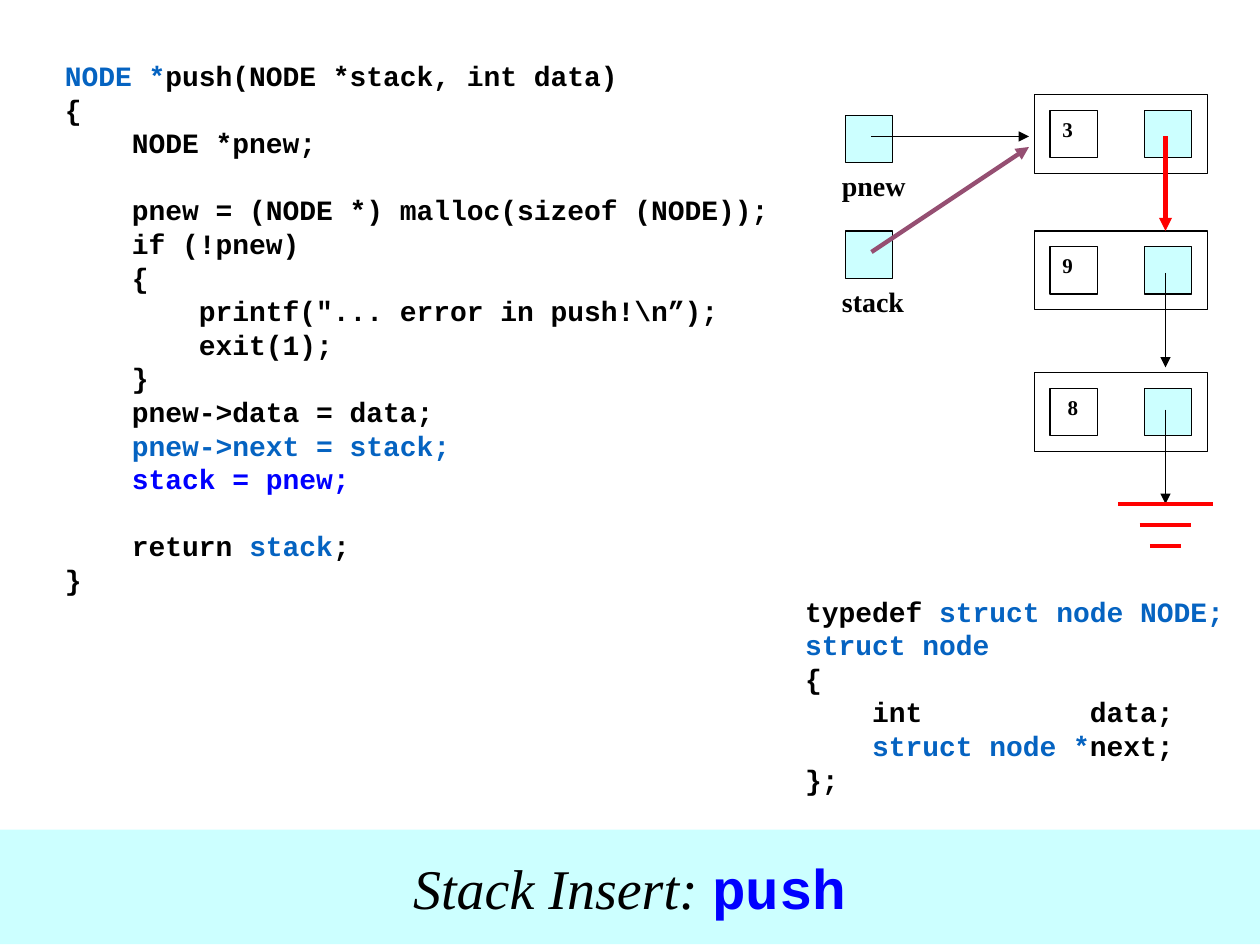
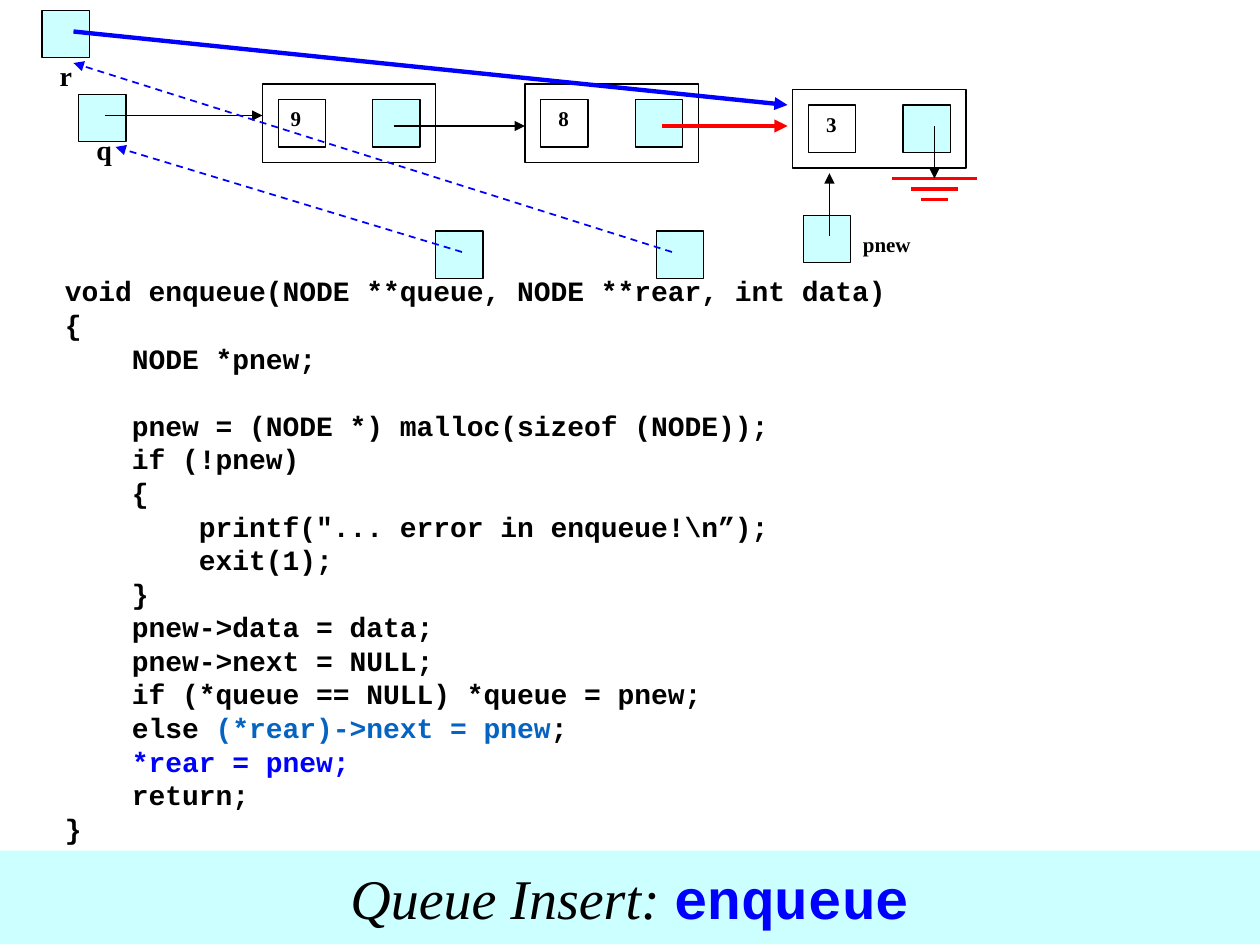
from lxml.etree import SubElement
from pptx import Presentation
from pptx.dml.color import RGBColor
from pptx.enum.dml import MSO_LINE
from pptx.enum.shapes import MSO_CONNECTOR, MSO_SHAPE
from pptx.enum.text import MSO_ANCHOR, MSO_AUTO_SIZE, PP_ALIGN
from pptx.oxml.ns import qn
from pptx.util import Pt

BLACK = RGBColor(0, 0, 0)
WHITE = RGBColor(255, 255, 255)
CYAN = RGBColor(0xCC, 0xFF, 0xFF)
LINK = RGBColor(0x05, 0x63, 0xC1)
BLUE = RGBColor(0, 0, 255)
RED = RGBColor(255, 0, 0)
PLUM = RGBColor(0x95, 0x4F, 0x72)
INKS = {"k": BLACK, "l": LINK, "b": BLUE}
SERIF, MONO = "Times New Roman", "Courier New"
WIDE, HIGH = 720, 540
CELL = 27

# ^l, ^b and ^k switch the ink to link blue, pure blue and black.
PUSH = r"""^lNODE *^kpush(NODE *stack, int data)
{
    NODE *pnew;

    pnew = (NODE *) malloc(sizeof (NODE));
    if (!pnew)
    {
        printf("... error in push!\n”);
        exit(1);
    }
    pnew->data = data;
    ^lpnew->next = stack;
    ^bstack = pnew;

    return ^lstack^k;
}"""

TYPE = """typedef ^lstruct node NODE;
^lstruct node
{
    int          data;
    ^lstruct node *^knext;
};"""

QUEUE = r"""void enqueue(NODE **queue, NODE **rear, int data)
{
    NODE *pnew;

    pnew = (NODE *) malloc(sizeof (NODE));
    if (!pnew)
    {
        printf("... error in enqueue!\n”);
        exit(1);
    }
    pnew->data = data;
    pnew->next = NULL;
    if (*queue == NULL) *queue = pnew;
    else ^l(*rear)->next = pnew^k;
    ^b*rear = pnew;
    return;
}"""


def style(run, size, face=SERIF, ink=BLACK, bold=True, slant=False):
    font = run.font
    font.size, font.name = Pt(size), face
    font.bold, font.italic = bold, slant
    font.color.rgb = ink


def band(slide, top, high, lead, name):
    """Turn the title placeholder into the coloured band at the foot."""
    title = slide.shapes.title
    title.left, title.top = Pt(0), Pt(top)
    title.width, title.height = Pt(WIDE), Pt(high)
    title.fill.solid()
    title.fill.fore_color.rgb = CYAN
    frame = title.text_frame
    frame.auto_size = MSO_AUTO_SIZE.NONE
    frame.word_wrap = False
    frame.vertical_anchor = MSO_ANCHOR.MIDDLE
    line = frame.paragraphs[0]
    line.alignment = PP_ALIGN.CENTER
    for text in (lead, name):
        line.add_run().text = text
    style(line.runs[0], 32, bold=False, slant=True)
    style(line.runs[1], 32, MONO, BLUE)


def code(slide, x, y, w, h, text, wrap=True):
    frame = slide.shapes.add_textbox(Pt(x), Pt(y), Pt(w), Pt(h)).text_frame
    frame.word_wrap = wrap
    for i, row in enumerate(text.split("\n")):
        line = frame.add_paragraph() if i else frame.paragraphs[0]
        line.line_spacing = Pt(19.2)
        line.font.size = Pt(16)
        for part in ("k" + row).split("^"):
            if part[1:]:
                run = line.add_run()
                run.text = part[1:]
                style(run, 16, MONO, INKS[part[0]])


def box(slide, x, y, w=CELL, h=CELL, fill=CYAN, edge=True, text="", size=12):
    shape = slide.shapes.add_shape(MSO_SHAPE.RECTANGLE, Pt(x), Pt(y), Pt(w), Pt(h))
    shape.shadow.inherit = False
    shape.fill.solid()
    shape.fill.fore_color.rgb = fill
    if edge:
        shape.line.color.rgb = BLACK
        shape.line.width = Pt(0.75)
    else:
        shape.line.fill.background()
    if text:
        frame = shape.text_frame
        frame.vertical_anchor = MSO_ANCHOR.TOP
        frame.text = text
        line = frame.paragraphs[0]
        line.alignment = PP_ALIGN.LEFT
        style(line.runs[0], size)


def label(slide, x, y, w, text, size=16):
    box(slide, x, y, w, fill=WHITE, edge=False, text=text, size=size)


def node(slide, x, y, text):
    """List element: a frame with a data cell and a next cell."""
    box(slide, x, y, 99, 45, WHITE)
    box(slide, x + 63, y + 9)
    box(slide, x + 9, y + 9, fill=WHITE, text=text)


def stroke(slide, x1, y1, x2, y2, ink=BLACK, thick=0.75, dash=False, arrow=True):
    line = slide.shapes.add_connector(
        MSO_CONNECTOR.STRAIGHT, Pt(x1), Pt(y1), Pt(x2), Pt(y2))
    line.line.color.rgb = ink
    line.line.width = Pt(thick)
    if dash:
        line.line.dash_style = MSO_LINE.DASH
    props = line._element.spPr
    if arrow:
        SubElement(props.find(qn("a:ln")), qn("a:tailEnd"), type="triangle")
    SubElement(props, qn("a:effectLst"))


def ground(slide, x, y, half, step):
    """Three shrinking bars that stand for the null pointer."""
    for i, part in enumerate((1, 0.55, 0.33)):
        reach, level = half * part, y + i * step
        stroke(slide, x - reach, level, x + reach, level, RED, 2, arrow=False)


def stack(slide, x, y):
    """Stack after a push; x, y is the corner of the top node."""
    for name, drop in (("pnew", 0), ("stack", 66)):
        label(slide, x - 117, y + 39 + drop, 54, name)
        box(slide, x - 108, y + 12 + drop)
    stroke(slide, x - 93, y + 24, x - 3, y + 24)
    stroke(slide, x - 93, y + 90, x - 3, y + 30, PLUM, 2.5)
    for drop, text in ((0, "3"), (78, "9"), (159, " 8")):
        node(slide, x, y + drop, text)
    next_x = x + 75
    for drop, ink, thick in ((24, RED, 2.5), (102, BLACK, 0.75), (180, BLACK, 0.75)):
        stroke(slide, next_x, y + drop, next_x, y + drop + 54, ink, thick)
    ground(slide, next_x, y + 234, 27, 12)


def queue(slide, x, y):
    """Queue after an insert; x, y is the corner of the rear pointer."""
    label(slide, x + 3, y + 24, 24, "r")
    label(slide, x + 24, y + 66, 18, "q")
    for dx, dy in ((0, 0), (21, 48), (225, 126), (351, 126)):
        box(slide, x + dx, y + dy)
    for dx, dy, text in ((126, 42, "9"), (276, 42, " 8"), (429, 45, " 3")):
        node(slide, x + dx, y + dy, text)
    stroke(slide, x + 36, y + 60, x + 126, y + 60)
    stroke(slide, x + 201, y + 66, x + 276, y + 66)
    stroke(slide, x + 354, y + 66, x + 426, y + 66, RED, 2.5)
    stroke(slide, x + 240, y + 138, x + 42, y + 78, BLUE, 1, dash=True)
    stroke(slide, x + 360, y + 138, x + 18, y + 30, BLUE, 1, dash=True)
    label(slide, x + 462, y + 123, 54, "pnew", 12)
    box(slide, x + 435, y + 117)
    stroke(slide, x + 450, y + 129, x + 450, y + 93)
    ground(slide, x + 510, y + 96, 24, 6)
    stroke(slide, x + 510, y + 66, x + 510, y + 96)
    stroke(slide, x + 18, y + 12, x + 426, y + 54, BLUE, 2.5)


def main():
    deck = Presentation()
    deck.slide_width, deck.slide_height = Pt(WIDE), Pt(HIGH)
    plain = deck.slide_layouts.get_by_name("Title Only")

    slide = deck.slides.add_slide(plain)
    band(slide, 474, 65.5, "Stack Insert: ", "push")
    code(slide, 30, 30, 456, 335, PUSH)
    code(slide, 453, 336, 255, 122, TYPE, wrap=False)
    stack(slide, 591, 54)

    slide = deck.slides.add_slide(plain)
    band(slide, 486, 53.5, "Queue Insert: ", "enqueue")
    code(slide, 30, 153, 516, 353, QUEUE)
    queue(slide, 24, 6)

    deck.save("out.pptx")


if __name__ == "__main__":
    main()
